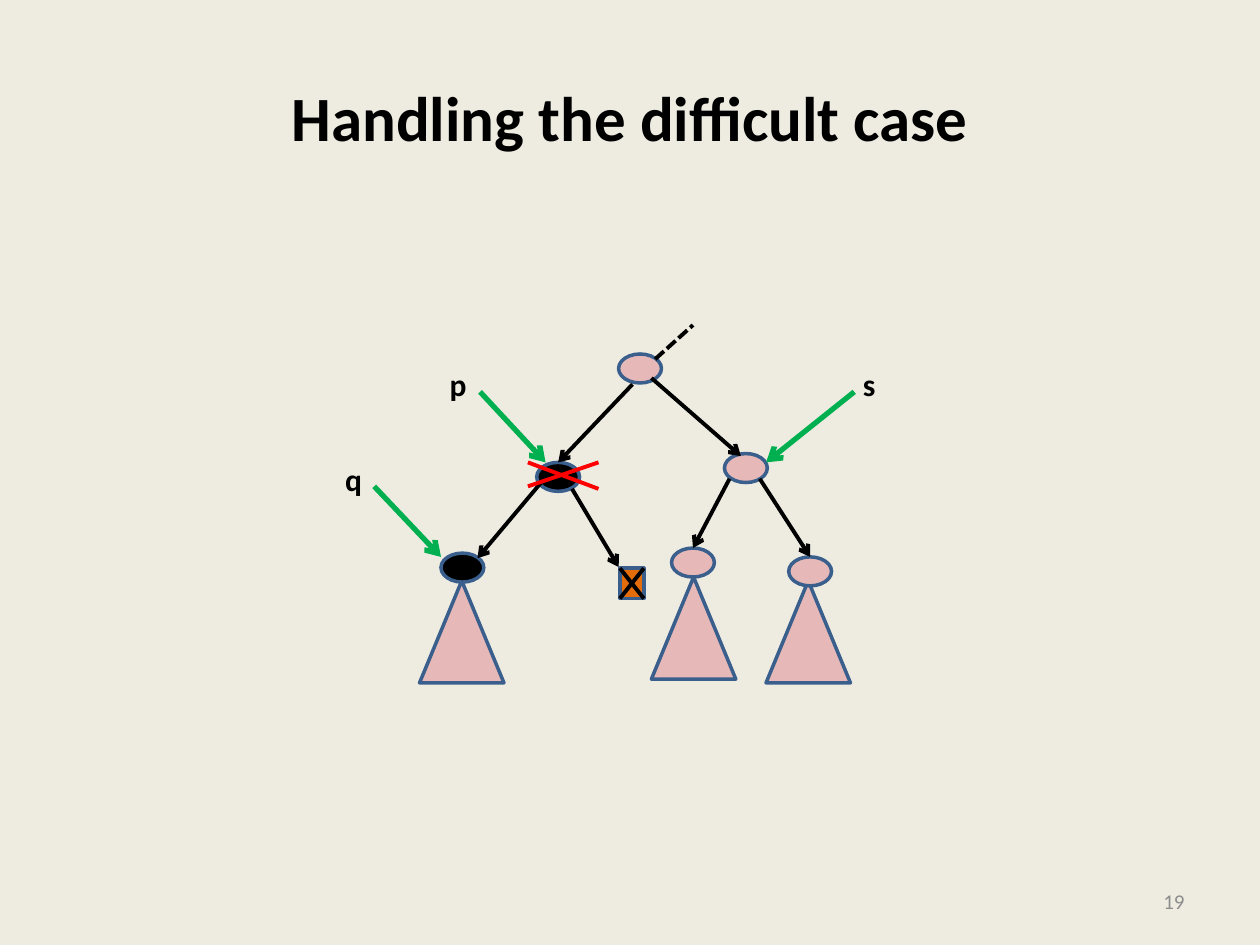
from pptx import Presentation
from pptx.dml.color import RGBColor
from pptx.enum.dml import MSO_LINE
from pptx.enum.shapes import MSO_CONNECTOR, MSO_SHAPE
from pptx.enum.text import MSO_ANCHOR, MSO_AUTO_SIZE, PP_ALIGN
from pptx.oxml.ns import qn
from pptx.util import Inches, Pt
from lxml.etree import SubElement

TITLE = "Handling the difficult case"
PAGE_NUMBER = "19"

BLACK, PINK, ORANGE = "000000", "E6B9B8", "E46C0A"
GREEN, RED, OUTLINE = "00B050", "FF0000", "3A5F8C"

NODE_SIZE = (0.34, 0.23)
SUBTREE_SIZE = (0.67, 0.81)
LEAF = (4.92, 4.51, 0.19, 0.24)

SUBTREES = [(3.33, 4.61), (5.17, 4.58), (6.08, 4.61)]
NODES = [
    (4.91, 2.81, PINK),
    (4.26, 3.67, BLACK),
    (5.75, 3.6, PINK),
    (3.5, 4.39, BLACK),
    (5.33, 4.35, PINK),
    (6.26, 4.42, PINK),
]
EDGES = [
    (5.02, 3.05, 4.43, 3.67),
    (5.17, 3, 5.88, 3.62),
    (4.32, 3.8, 3.79, 4.43),
    (4.54, 3.88, 4.91, 4.5),
    (5.79, 3.8, 5.5, 4.35),
    (6.03, 3.8, 6.43, 4.42),
]
PARENT_EDGE = (5.2, 2.85, 5.5, 2.58)
POINTERS = [
    ("p", (3.47, 2.85, 0.34, 0.4), (3.81, 3.11, 4.33, 3.67)),
    ("q", (2.64, 3.6, 0.34, 0.4), (2.97, 3.86, 3.5, 4.42)),
    ("s", (6.75, 2.85, 0.3, 0.4), (6.78, 3.11, 6.08, 3.67)),
]
DELETION_MARKS = [(4.19, 3.86, 4.75, 3.67), (4.19, 3.67, 4.75, 3.88)]


def rgb(color):
    return RGBColor.from_string(color)


def inches(values):
    return [Inches(value) for value in values]


def add_text(frame, text, size, color=BLACK, bold=False, align=PP_ALIGN.LEFT):
    paragraph = frame.paragraphs[0]
    paragraph.alignment = align
    run = paragraph.add_run()
    run.text = text
    run.font.name = "Calibri"
    run.font.size = Pt(size)
    run.font.bold = bold
    run.font.color.rgb = rgb(color)


def add_part(slide, kind, box, fill):
    part = slide.shapes.add_shape(kind, *inches(box))
    part.shadow.inherit = False
    part.fill.solid()
    part.fill.fore_color.rgb = rgb(fill)
    part.line.color.rgb = rgb(OUTLINE)
    part.line.width = Pt(2)


def add_line(slide, ends, color=BLACK, width=2.25, arrow=False, dash=None):
    line = slide.shapes.add_connector(MSO_CONNECTOR.STRAIGHT, *inches(ends))
    line.line.color.rgb = rgb(color)
    line.line.width = Pt(width)
    if dash:
        line.line.dash_style = dash
    properties = line._element.spPr
    if arrow:
        SubElement(properties.find(qn("a:ln")), qn("a:tailEnd"), type="arrow")
    SubElement(properties, qn("a:effectLst"))


def main():
    presentation = Presentation()
    presentation.slide_width, presentation.slide_height = inches((10, 7.5))
    slide = presentation.slides.add_slide(presentation.slide_layouts[5])
    slide.background.fill.solid()
    slide.background.fill.fore_color.rgb = rgb("EEECE1")

    title = slide.shapes.title
    title.left, title.top, title.width, title.height = inches((0.5, 0.3, 9, 1.25))
    title.text_frame.vertical_anchor = MSO_ANCHOR.MIDDLE
    add_text(title.text_frame, TITLE, 36, bold=True, align=PP_ALIGN.CENTER)

    for subtree in SUBTREES:
        add_part(slide, MSO_SHAPE.ISOSCELES_TRIANGLE, subtree + SUBTREE_SIZE, PINK)
    for left, top, fill in NODES:
        add_part(slide, MSO_SHAPE.OVAL, (left, top) + NODE_SIZE, fill)
    for edge in EDGES:
        add_line(slide, edge, arrow=True)
    add_line(slide, PARENT_EDGE, dash=MSO_LINE.SQUARE_DOT)

    add_part(slide, MSO_SHAPE.RECTANGLE, LEAF, ORANGE)
    left, top, width, height = LEAF
    right, bottom = left + width, top + height
    add_line(slide, (left, top, right, bottom))
    add_line(slide, (right, top, left, bottom))

    for label, box, arrow in POINTERS:
        add_line(slide, arrow, GREEN, 3, arrow=True)
        frame = slide.shapes.add_textbox(*inches(box)).text_frame
        frame.word_wrap = False
        frame.auto_size = MSO_AUTO_SIZE.SHAPE_TO_FIT_TEXT
        add_text(frame, label, 18, bold=True)
    for mark in DELETION_MARKS:
        add_line(slide, mark, RED)

    number = slide.shapes.add_textbox(*inches((7.17, 6.95, 2.33, 0.4))).text_frame
    number.word_wrap = True
    number.vertical_anchor = MSO_ANCHOR.MIDDLE
    add_text(number, PAGE_NUMBER, 12, "8C8C8C", align=PP_ALIGN.RIGHT)

    presentation.save("out.pptx")


if __name__ == "__main__":
    main()
